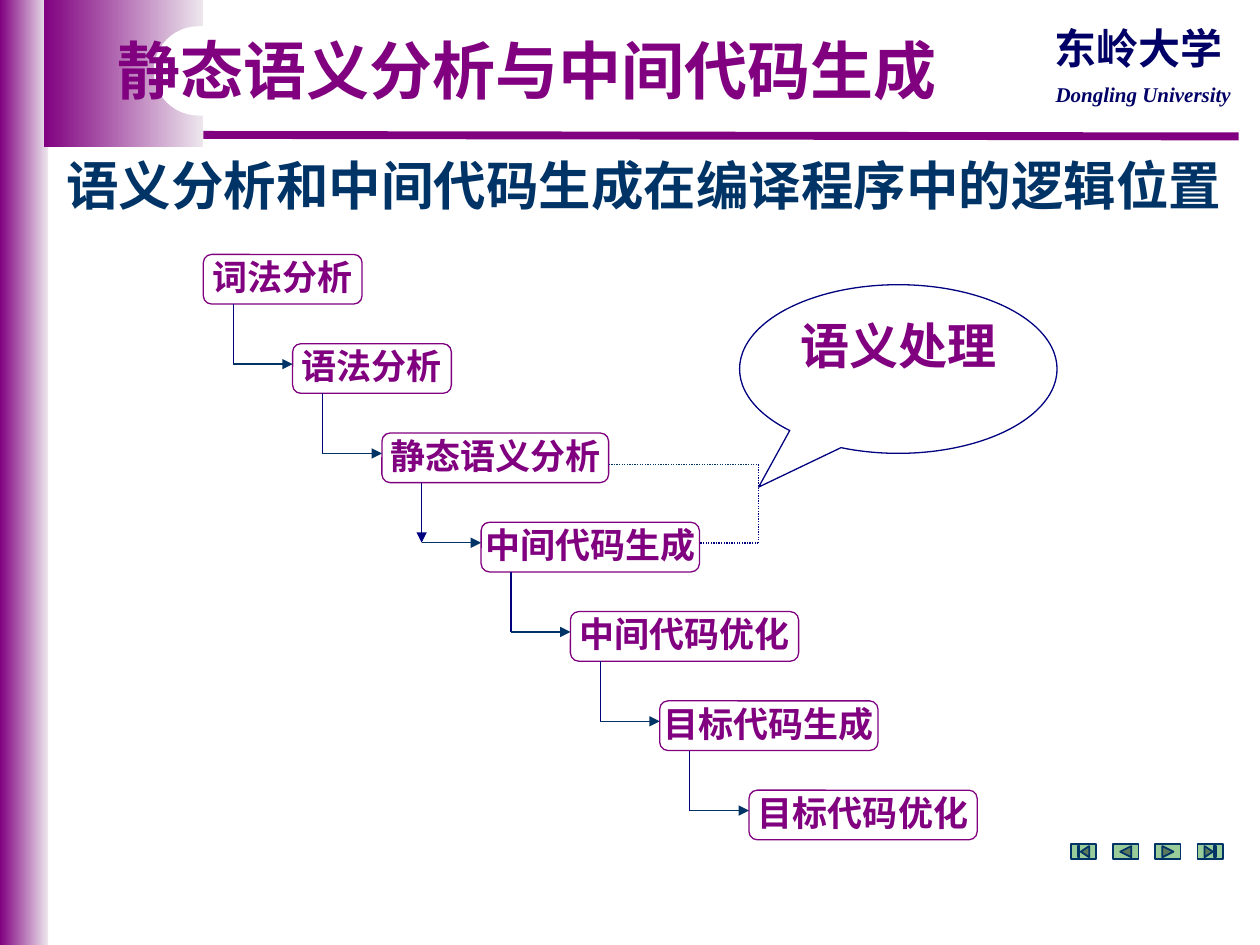
import dataclasses

import lxml.etree
import pptx
import pptx.dml.color
import pptx.enum.dml
import pptx.enum.shapes
import pptx.enum.text
import pptx.oxml.ns
import pptx.util

Cm = pptx.util.Cm
Pt = pptx.util.Pt
qn = pptx.oxml.ns.qn
SHAPE = pptx.enum.shapes.MSO_SHAPE
ALIGN = pptx.enum.text.PP_ALIGN
ANCHOR = pptx.enum.text.MSO_ANCHOR


@dataclasses.dataclass(frozen=True)
class Theme:
    purple: str = "800080"
    pale: str = "EDE7ED"
    white: str = "FFFFFF"
    navy: str = "000080"
    emblem: str = "000066"
    teal: str = "003366"
    green: str = "99CC99"
    cjk: str = "Noto Sans CJK SC"
    latin: str = "Arial"
    serif: str = "Times New Roman"
    title: int = 36
    heading: int = 30
    callout: int = 28
    school: int = 24
    step: int = 20
    school_latin: int = 12
    thin: float = 0.75
    button_edge: float = 1
    rule: float = 4.5


def rgb(code):
    return pptx.dml.color.RGBColor.from_string(code)


class SlideBuilder:
    def __init__(self, slide, theme):
        self.slide = slide
        self.theme = theme

    def set_text(self, frame, text, size, color, font, align=ALIGN.LEFT,
                 spacing=None, wrap=True, italic=None):
        frame.word_wrap = wrap
        paragraph = frame.paragraphs[0]
        paragraph.text = text
        paragraph.alignment = align
        paragraph.line_spacing = spacing
        paragraph.font.name = font
        paragraph.font.size = Pt(size)
        paragraph.font.bold = True
        paragraph.font.italic = italic
        paragraph.font.color.rgb = rgb(color)
        east_asian = lxml.etree.SubElement(
            paragraph._p.pPr.find(qn("a:defRPr")), qn("a:ea"))
        east_asian.set("typeface", self.theme.cjk)

    def shape(self, kind, box, fill=None, edge=None, width=0.75):
        shape = self.slide.shapes.add_shape(kind, *map(Cm, box))
        shape.shadow.inherit = False
        if fill:
            shape.fill.solid()
            shape.fill.fore_color.rgb = rgb(fill)
        else:
            shape.fill.background()
        if edge:
            shape.line.color.rgb = rgb(edge)
            shape.line.width = Pt(width)
        else:
            shape.line.fill.background()
        return shape

    def gradient_band(self, box):
        band = self.shape(SHAPE.RECTANGLE, box)
        band.fill.gradient()
        band.fill.gradient_angle = 0
        for stop, color in zip(band.fill.gradient_stops,
                               (self.theme.purple, self.theme.pale)):
            stop.color.rgb = rgb(color)

    def text(self, box, *words, **style):
        frame = self.slide.shapes.add_textbox(*map(Cm, box)).text_frame
        self.set_text(frame, *words, **style)

    def line(self, start, end, color, width=None, arrow=False, dotted=False):
        line = self.slide.shapes.add_connector(
            pptx.enum.shapes.MSO_CONNECTOR.STRAIGHT, *map(Cm, start + end))
        line.line.color.rgb = rgb(color)
        line.line.width = Pt(width or self.theme.thin)
        if dotted:
            line.line.dash_style = pptx.enum.dml.MSO_LINE.ROUND_DOT
        if arrow:
            tail = lxml.etree.SubElement(
                line._element.spPr.find(qn("a:ln")), qn("a:tailEnd"))
            tail.set("type", "triangle")
        lxml.etree.SubElement(line._element.spPr, qn("a:effectLst"))

    def step(self, box, name):
        theme = self.theme
        step = self.shape(SHAPE.ROUNDED_RECTANGLE, box, theme.white, theme.purple, theme.thin)
        step.text_frame.vertical_anchor = ANCHOR.MIDDLE
        self.set_text(step.text_frame, name, theme.step, theme.purple, theme.latin,
                      align=ALIGN.CENTER, spacing=0.9, wrap=False)

    def callout(self, box, tip, words):
        theme = self.theme
        callout = self.shape(SHAPE.OVAL_CALLOUT, box, edge=theme.navy, width=theme.thin)
        callout.adjustments[0], callout.adjustments[1] = tip
        callout.text_frame.vertical_anchor = ANCHOR.TOP
        self.set_text(callout.text_frame, words, theme.callout, theme.purple, theme.latin,
                      align=ALIGN.CENTER)


def draw_frame(builder):
    theme = builder.theme
    builder.gradient_band((0, 0, 0.97, 19.05))
    builder.gradient_band((0.88, 0, 3.22, 2.97))
    builder.line((4.1, 2.72), (24.97, 2.75), theme.purple, theme.rule)
    notch = builder.shape(SHAPE.ROUNDED_RECTANGLE, (3.1, 0.53, 9.2, 1.8), theme.white)
    notch.adjustments[0] = 0.5
    builder.text((20.98, 1.52, 4.14, 0.76), "Dongling University", theme.school_latin,
                 theme.emblem, theme.serif, align=ALIGN.CENTER, wrap=False, italic=True)
    builder.text((20.98, 0.33, 3.94, 1.27), "东岭大学", theme.school,
                 theme.emblem, theme.cjk, align=ALIGN.CENTER, wrap=False)


def draw_navigation(builder):
    buttons = (SHAPE.ACTION_BUTTON_BEGINNING, SHAPE.ACTION_BUTTON_BACK_OR_PREVIOUS,
               SHAPE.ACTION_BUTTON_FORWARD_OR_NEXT, SHAPE.ACTION_BUTTON_END)
    for index, button in enumerate(buttons):
        builder.shape(button, (21.59 + 0.85 * index, 17.02, 0.51, 0.3),
                      builder.theme.green, builder.theme.teal, builder.theme.button_edge)


def draw_stairs(builder):
    theme = builder.theme
    stages = (("词法分析", 4.1, 3.2), ("语法分析", 5.9, 3.2), ("静态语义分析", 7.7, 4.57),
              ("中间代码生成", 9.7, 4.4), ("中间代码优化", 11.5, 4.6),
              ("目标代码生成", 13.3, 4.4), ("目标代码优化", 15.1, 4.6))
    first_top, rise, height, run, entry = 5.13, 1.8, 1, 1.2, 0.41
    for index, (name, left, width) in enumerate(stages):
        top = first_top + rise * index
        builder.step((left, top, width, height), name)
        if index:
            corner = (left - run, top + entry)
            builder.line((left - run, top - rise + height), corner, theme.navy,
                         arrow=name == "中间代码生成")
            builder.line(corner, (left, top + entry), theme.teal, arrow=True)


def draw_semantic_processing(builder):
    theme = builder.theme
    builder.callout((14.91, 5.74, 6.4, 3.4), (-0.44, 0.7), "语义处理")
    bracket, upper, lower = 15.29, 9.36, 10.95
    builder.line((12.27, upper), (bracket, upper), theme.teal, dotted=True)
    builder.line((bracket, upper), (bracket, lower), theme.navy, dotted=True)
    builder.line((bracket, lower), (14.1, lower), theme.navy, dotted=True)


def main():
    deck = pptx.Presentation()
    deck.slide_width, deck.slide_height = Cm(25.4), Cm(19.05)
    theme = Theme()
    builder = SlideBuilder(deck.slides.add_slide(deck.slide_layouts[6]), theme)
    draw_frame(builder)
    builder.text((1.09, 2.97, 24.31, 1.55), "语义分析和中间代码生成在编译程序中的逻辑位置",
                 theme.heading, theme.teal, theme.cjk)
    draw_navigation(builder)
    draw_stairs(builder)
    draw_semantic_processing(builder)
    builder.text((2.11, 0.69, 17.6, 1.65), "静态语义分析与中间代码生成",
                 theme.title, theme.purple, theme.cjk, spacing=0.9)
    deck.save("out.pptx")


if __name__ == "__main__":
    main()
